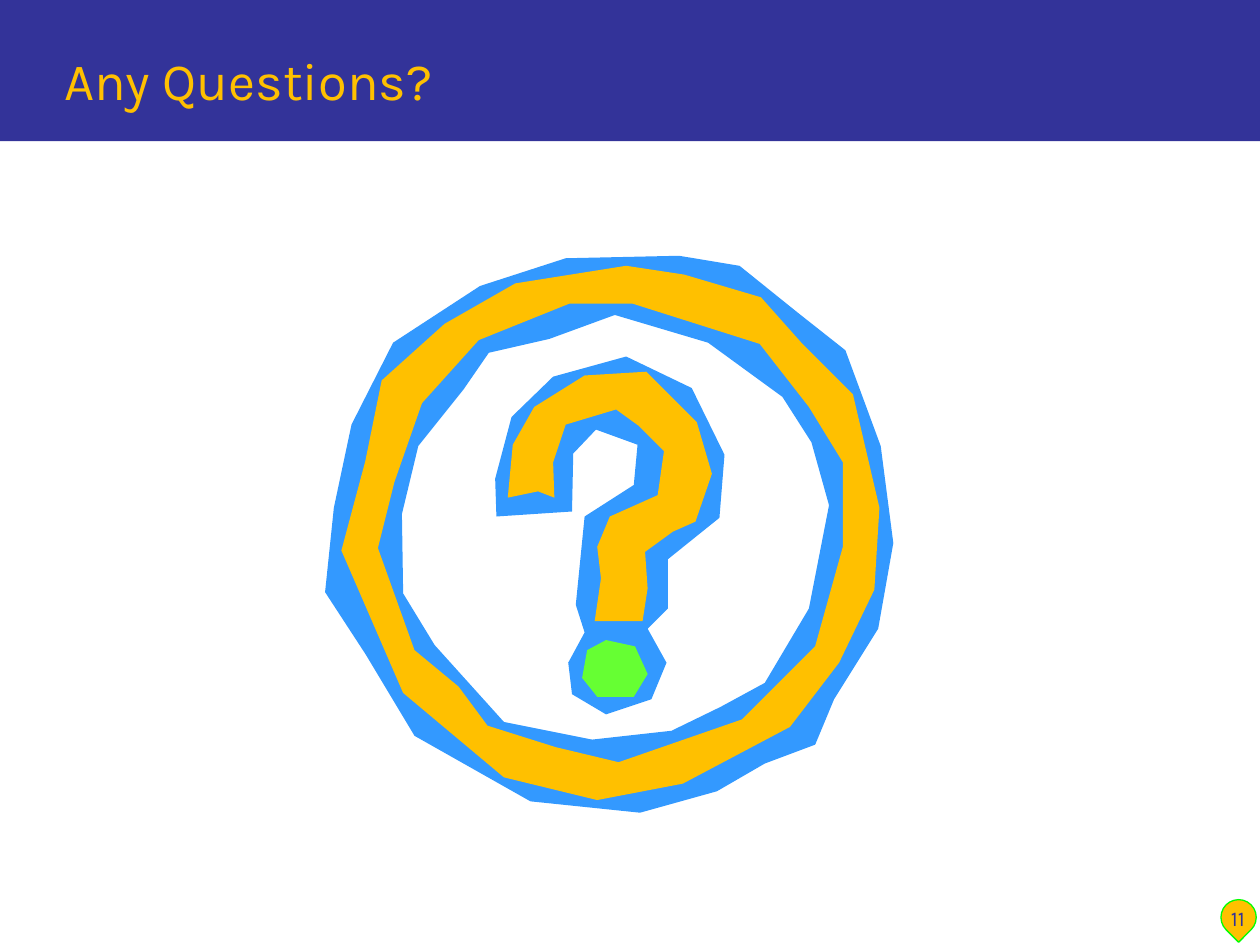
from pptx import Presentation
from pptx.dml.color import RGBColor
from pptx.enum.shapes import MSO_SHAPE
from pptx.enum.text import MSO_ANCHOR, PP_ALIGN
from pptx.util import Inches, Pt

NAVY, GOLD, BLUE, GREEN, LIME = "333399", "FFC000", "3399FF", "66FF33", "00FF00"

# Contours are x, y points in hundredths of an inch
MARK_BORDER = [
    (455, 360), (473, 341), (506, 353), (503, 385), (464, 410), (457, 480),
    (464, 502), (451, 526), (454, 551), (481, 567), (517, 555), (529, 526),
    (514, 499), (530, 483), (530, 444), (571, 411), (575, 361), (549, 308),
    (497, 283), (439, 299), (406, 331), (393, 380), (394, 410), (454, 406)]
MARK_HOOK = [
    (403, 395), (427, 390), (440, 395), (439, 367), (449, 337), (489, 325),
    (507, 338), (527, 358), (522, 393), (484, 410), (474, 434), (477, 459),
    (472, 493), (510, 493), (514, 467), (512, 438), (534, 422), (552, 414),
    (565, 376), (553, 335), (513, 295), (464, 298), (424, 323), (407, 353)]
MARK_DOT = [
    (481, 508), (466, 516), (462, 538), (474, 553), (503, 553), (514, 535),
    (504, 513)]
BORDER_OUTER = [
    (539, 203), (449, 205), (381, 227), (312, 272), (279, 337), (265, 403),
    (258, 470), (290, 519), (329, 584), (421, 636), (508, 645), (569, 628),
    (607, 606), (647, 591), (662, 555), (697, 499), (709, 431), (699, 354),
    (671, 278), (633, 248), (587, 211)]
BORDER_INNER = [
    (562, 272), (621, 315), (644, 351), (658, 401), (642, 483), (607, 542),
    (572, 561), (533, 580), (470, 587), (400, 573), (345, 512), (320, 471),
    (319, 408), (332, 354), (368, 309), (388, 280), (436, 269), (488, 250)]
RING_INNER = [
    (502, 241), (452, 241), (380, 270), (335, 320), (313, 383), (300, 435),
    (329, 516), (364, 545), (387, 576), (441, 593), (491, 605), (589, 571),
    (647, 513), (669, 434), (669, 367), (642, 323), (603, 273)]
RING_OUTER = [
    (497, 211), (543, 218), (604, 236), (636, 272), (677, 313), (698, 403),
    (694, 468), (666, 526), (627, 577), (542, 622), (474, 635), (400, 617),
    (320, 550), (271, 437), (290, 366), (303, 302), (353, 257), (409, 225)]


def color(value):
    return RGBColor.from_string(value)


def paint(shape, fill, line=None):
    shape.shadow.inherit = False
    shape.fill.solid()
    shape.fill.fore_color.rgb = color(fill)
    if line:
        shape.line.color.rgb = color(line)
        shape.line.width = Pt(0.75)
    else:
        shape.line.fill.background()


def add_preset(slide, kind, left, top, width, height, fill, line=None):
    shape = slide.shapes.add_shape(
        kind, Inches(left), Inches(top), Inches(width), Inches(height))
    paint(shape, fill, line)
    return shape


def add_text(slide, text, left, top, width, height, size, fill,
             alignment=PP_ALIGN.LEFT):
    box = slide.shapes.add_textbox(
        Inches(left), Inches(top), Inches(width), Inches(height))
    text_frame = box.text_frame
    text_frame.word_wrap = True
    text_frame.vertical_anchor = MSO_ANCHOR.BOTTOM
    text_frame.text = text
    paragraph = text_frame.paragraphs[0]
    paragraph.alignment = alignment
    font = paragraph.runs[0].font
    font.name = "Karla"
    font.size = Pt(size)
    font.color.rgb = color(fill)


def add_outline(group, fill, *contours):
    """Draw closed contours as one shape; a second contour cuts a hole."""
    first, *holes = contours
    builder = group.shapes.build_freeform(*first[0], scale=Inches(0.01))
    builder.add_line_segments(first[1:], close=True)
    for hole in holes:
        builder.move_to(*hole[0])
        builder.add_line_segments(hole[1:], close=True)
    paint(builder.convert_to_shape(), fill)


def main():
    presentation = Presentation()
    presentation.slide_width = Inches(10)
    presentation.slide_height = Inches(7.5)
    slide = presentation.slides.add_slide(presentation.slide_layouts[6])

    # Title band and page number marker
    add_preset(slide, MSO_SHAPE.RECTANGLE, 0, 0, 10, 1.12, NAVY)
    marker = add_preset(
        slide, MSO_SHAPE.TEAR, 9.69, 7.14, 0.28, 0.28, GOLD, LIME)
    marker.rotation = 134.9
    add_text(slide, "Any Questions?", 0.41, 0.17, 9.35, 0.76, 30, GOLD)
    add_text(slide, "11", 9.54, 6.94, 0.57, 0.5, 12, NAVY, PP_ALIGN.CENTER)

    # Question mark inside a ring
    emblem = slide.shapes.add_group_shape()
    add_outline(emblem, BLUE, MARK_BORDER)
    add_outline(emblem, GOLD, MARK_HOOK)
    add_outline(emblem, GREEN, MARK_DOT)
    add_outline(emblem, BLUE, BORDER_OUTER, BORDER_INNER)
    add_outline(emblem, GOLD, RING_OUTER, RING_INNER)

    presentation.save("out.pptx")


main()
